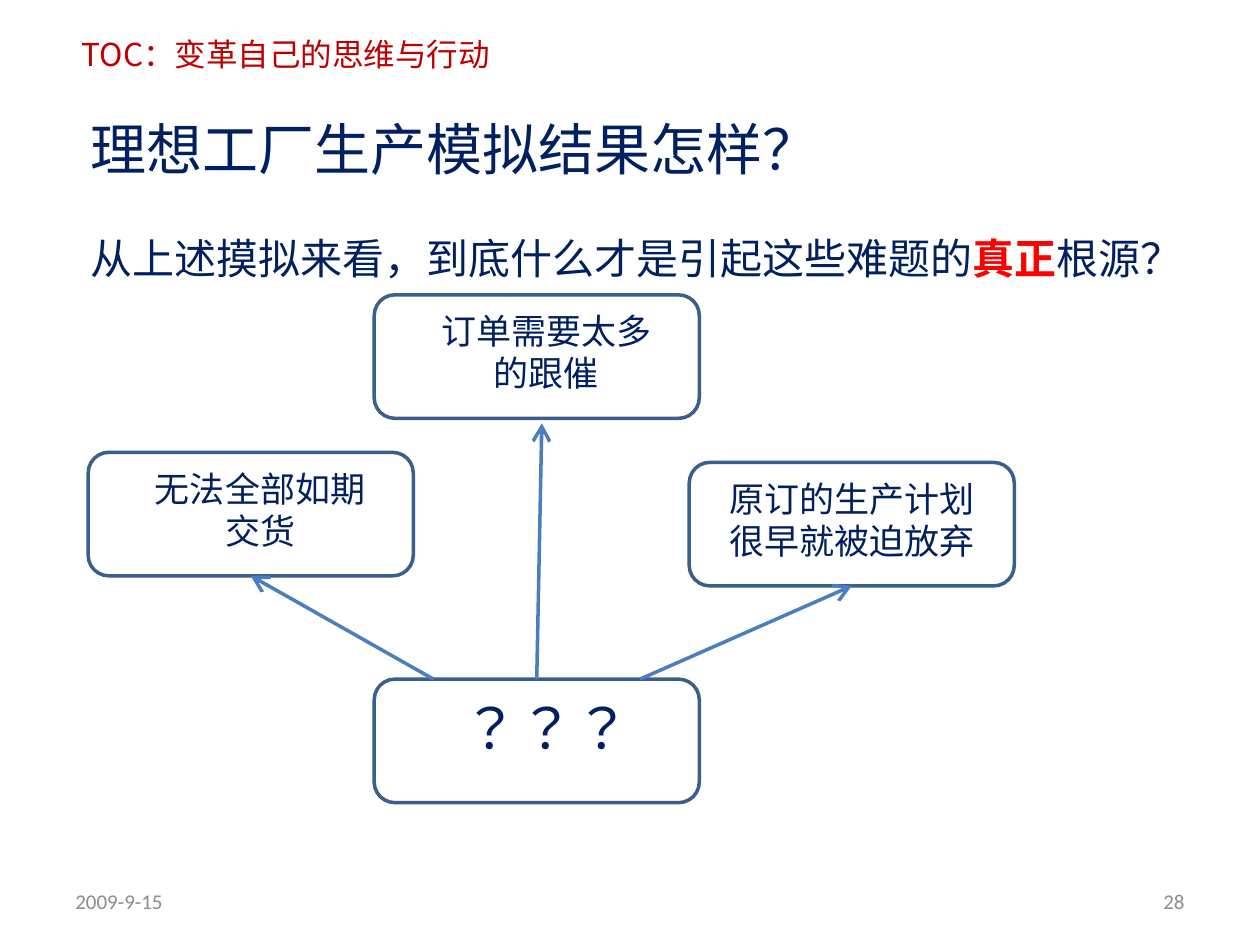
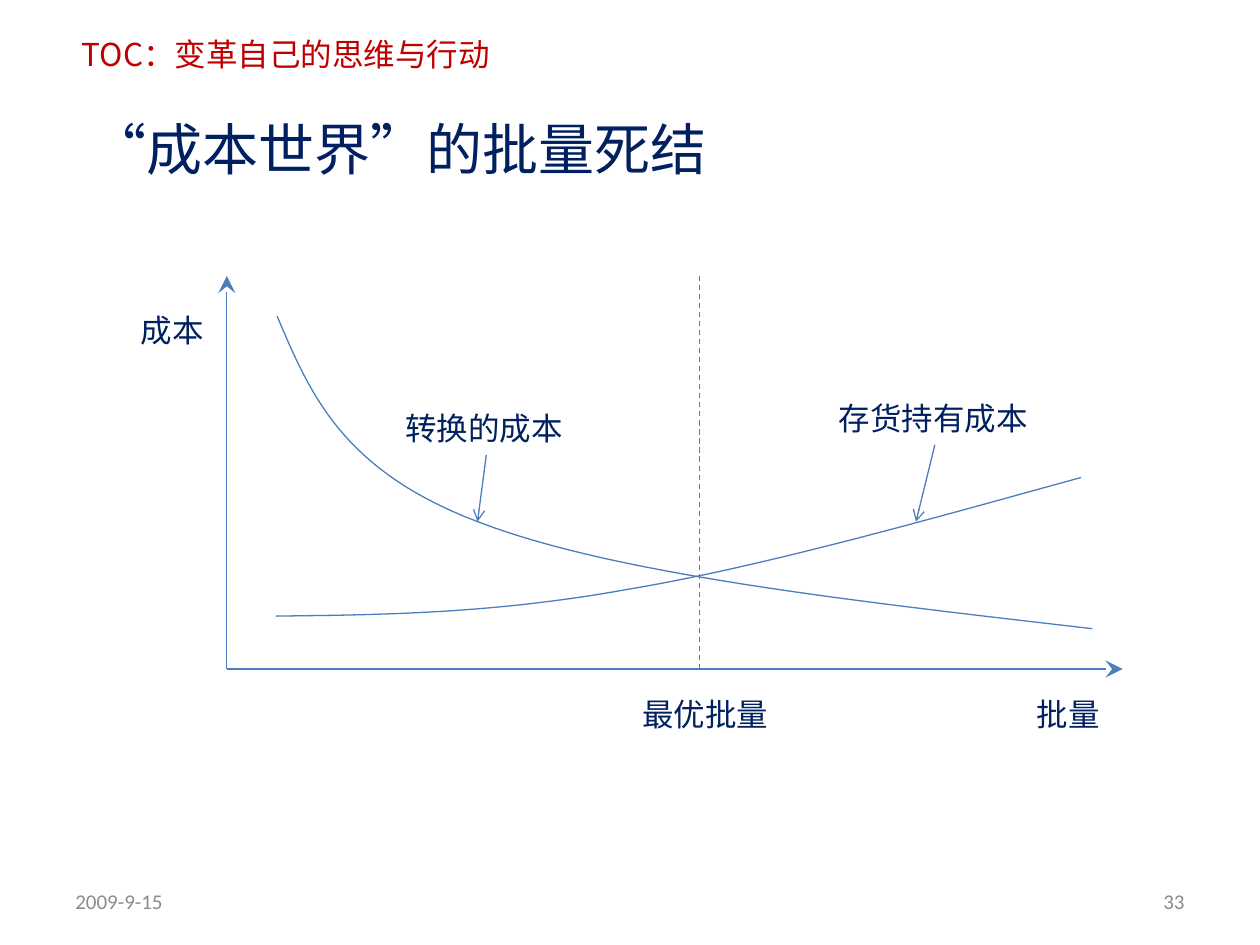
from lxml import etree
from pptx import Presentation
from pptx.dml.color import RGBColor
from pptx.enum import dml, shapes, text
from pptx.oxml import ns
from pptx.util import Inches, Pt

NAVY, RED, CRIMSON = "002060", "FF0000", "C00000"
GREY, BLUE, BORDER = "8C8C8C", "4B7EBC", "3A5F8C"
SC, JP, LATIN = "Noto Sans CJK SC", "Noto Sans CJK JP", "Calibri"
LEFT, CENTER, RIGHT = text.PP_ALIGN.LEFT, text.PP_ALIGN.CENTER, text.PP_ALIGN.RIGHT
BOX_W, BOX_H = 2.58, 0.98
THICK, THIN = 2, 0.75
CURVE_STEPS = 30


def rgb(hex_color):
    return RGBColor.from_string(hex_color)


def style_font(font, face, size, color, bold=False):
    """Set a font, using the same face for Chinese unless it is Latin only."""
    font.name, font.size, font.bold = face, Pt(size), bold
    font.color.rgb = rgb(color)
    if face != LATIN:
        east_asian = etree.Element(ns.qn("a:ea"), typeface=face)
        font._element.find(ns.qn("a:latin")).addnext(east_asian)


def style_line(line, color, width):
    line.color.rgb = rgb(color)
    line.width = Pt(width)


def add_text(slide, place, words, face, size, color, align=LEFT, wrap=False,
             anchor=text.MSO_ANCHOR.TOP):
    frame = slide.shapes.add_textbox(*map(Inches, place)).text_frame
    frame.word_wrap = wrap
    frame.vertical_anchor = anchor
    paragraph = frame.paragraphs[0]
    paragraph.text = words
    paragraph.alignment = align
    style_font(paragraph.font, face, size, color)
    return paragraph


def add_problem(slide, left, top, words, size=20, margin_left=0.35):
    """Add a rounded box holding one problem of the cause diagram."""
    box = slide.shapes.add_shape(
        shapes.MSO_SHAPE.FLOWCHART_ALTERNATE_PROCESS,
        *map(Inches, (left, top, BOX_W, BOX_H)))
    box.shadow.inherit = False
    box.fill.background()
    style_line(box.line, BORDER, THICK)
    frame = box.text_frame
    frame.word_wrap = True
    frame.vertical_anchor = text.MSO_ANCHOR.TOP
    frame.margin_left, frame.margin_right = Inches(margin_left), Inches(0.2)
    frame.margin_top = Inches(0.07)
    paragraph = frame.paragraphs[0]
    paragraph.text = words
    paragraph.alignment = CENTER
    style_font(paragraph.font, JP, size, NAVY)
    return box


def add_line(slide, start, end, width, arrow=None, arrow_size="lg", dashed=False):
    """Add a straight line; arrow names the arrowhead type at its end."""
    line = slide.shapes.add_connector(
        shapes.MSO_CONNECTOR.STRAIGHT, *map(Inches, (*start, *end)))
    style_line(line.line, BLUE, width)
    if dashed:
        line.line.dash_style = dml.MSO_LINE.DASH
    properties = line._element.spPr
    if arrow:
        etree.SubElement(properties.find(ns.qn("a:ln")), ns.qn("a:tailEnd"),
                         type=arrow, w=arrow_size, len=arrow_size)
    etree.SubElement(properties, ns.qn("a:effectLst"))
    return line


def bezier(p0, p1, p2, p3, t):
    s = 1 - t
    return tuple(s**3 * a + 3 * s * s * t * b + 3 * s * t * t * c + t**3 * d
                 for a, b, c, d in zip(p0, p1, p2, p3))


def add_curve(slide, knots):
    """Draw joined cubic Beziers: a start, then three points per piece."""
    knots = [(Inches(x), Inches(y)) for x, y in knots]
    points = [bezier(*knots[i:i + 4], step / CURVE_STEPS)
              for i in range(0, len(knots) - 1, 3)
              for step in range(1, CURVE_STEPS + 1)]
    builder = slide.shapes.build_freeform(*knots[0])
    builder.add_line_segments(points, close=False)
    curve = builder.convert_to_shape()
    curve.shadow.inherit = False
    curve.fill.background()
    style_line(curve.line, BLUE, THIN)


def add_slide(deck, title, title_width, number):
    """Start a slide with the shared header, title, date and page number."""
    slide = deck.slides.add_slide(deck.slide_layouts[6])
    add_text(slide, (0.55, 0.23, 3.59, 0.4), "TOC：变革自己的思维与行动",
             SC, 18, CRIMSON, wrap=True)
    for left, words, align in ((0.5, "2009-9-15", LEFT), (7.17, number, RIGHT)):
        add_text(slide, (left, 6.95, 2.33, 0.4), words, LATIN, 12, GREY,
                 align, True, text.MSO_ANCHOR.MIDDLE)
    add_text(slide, (0.62, 0.86, title_width, 0.64), title, SC, 32, NAVY)
    return slide


def build_root_cause(deck):
    slide = add_slide(deck, "理想工厂生产模拟结果怎样？", 6.04, "28")
    question = add_text(slide, (0.62, 1.8, 8.95, 0.5), "", SC, 24, NAVY)
    for words, color, bold in (
            ("从上述摸拟来看，到底什么才是引起这些难题的", NAVY, False),
            ("真正", RED, True),
            ("根源？", NAVY, False)):
        run = question.add_run()
        run.text = words
        style_font(run.font, SC, 24, color, bold)

    add_problem(slide, 2.97, 2.34, "订单需要太多的跟催")
    late_delivery = add_problem(slide, 0.7, 3.59, "无法全部如期交货")
    dropped_plan = add_problem(slide, 5.47, 3.67, "原订的生产计划很早就被迫放弃",
                               margin_left=0.21)
    root_cause = add_problem(slide, 2.97, 5.39, "？？？", size=32)

    to_chasing = add_line(slide, (4.26, 5.39), (4.3, 3.36), THICK, "arrow")
    to_chasing.begin_connect(root_cause, 0)
    for start_x, problem in ((3.44, late_delivery), (5.08, dropped_plan)):
        add_line(slide, (start_x, 5.39), (start_x, 4.6), THICK,
                 "arrow").end_connect(problem, 2)


def build_batch_size(deck):
    slide = add_slide(deck, "“成本世界”的批量死结", 5.14, "33")
    origin, axis_top, optimum = (1.8, 5.31), 2.19, 5.55
    add_line(slide, origin, (origin[0], axis_top), THIN, "stealth")
    add_line(slide, origin, (8.91, origin[1]), THIN, "stealth")
    add_line(slide, (optimum, axis_top), (optimum, origin[1]), THIN, dashed=True)

    setup_cost = [(2.2, 2.51), (2.46, 3.12), (2.71, 3.73), (3.79, 4.14),
                  (4.87, 4.56), (6.77, 4.77), (8.67, 4.99)]
    holding_cost = [(2.19, 4.89), (3.05, 4.88), (3.91, 4.87), (4.97, 4.68),
                    (6.04, 4.5), (7.31, 4.14), (8.58, 3.79)]
    for knots in (setup_cost, holding_cost):
        add_curve(slide, knots)

    for left, top, width, label in (
            (1.02, 2.42, 0.71, "成本"),
            (8.13, 5.47, 0.71, "批量"),
            (5, 5.47, 1.21, "最优批量"),
            (3.12, 3.2, 1.46, "转换的成本"),
            (6.56, 3.12, 1.72, "存货持有成本")):
        add_text(slide, (left, top, width, 0.4), label, LATIN, 18, NAVY)
    for label_end, curve_point in (((3.86, 3.61), (3.79, 4.14)),
                                   ((7.42, 3.53), (7.27, 4.14))):
        add_line(slide, label_end, curve_point, THIN, "arrow", "med")


def main():
    deck = Presentation()
    deck.slide_width, deck.slide_height = Inches(10), Inches(7.5)
    build_root_cause(deck)
    build_batch_size(deck)
    deck.save("out.pptx")


if __name__ == "__main__":
    main()
